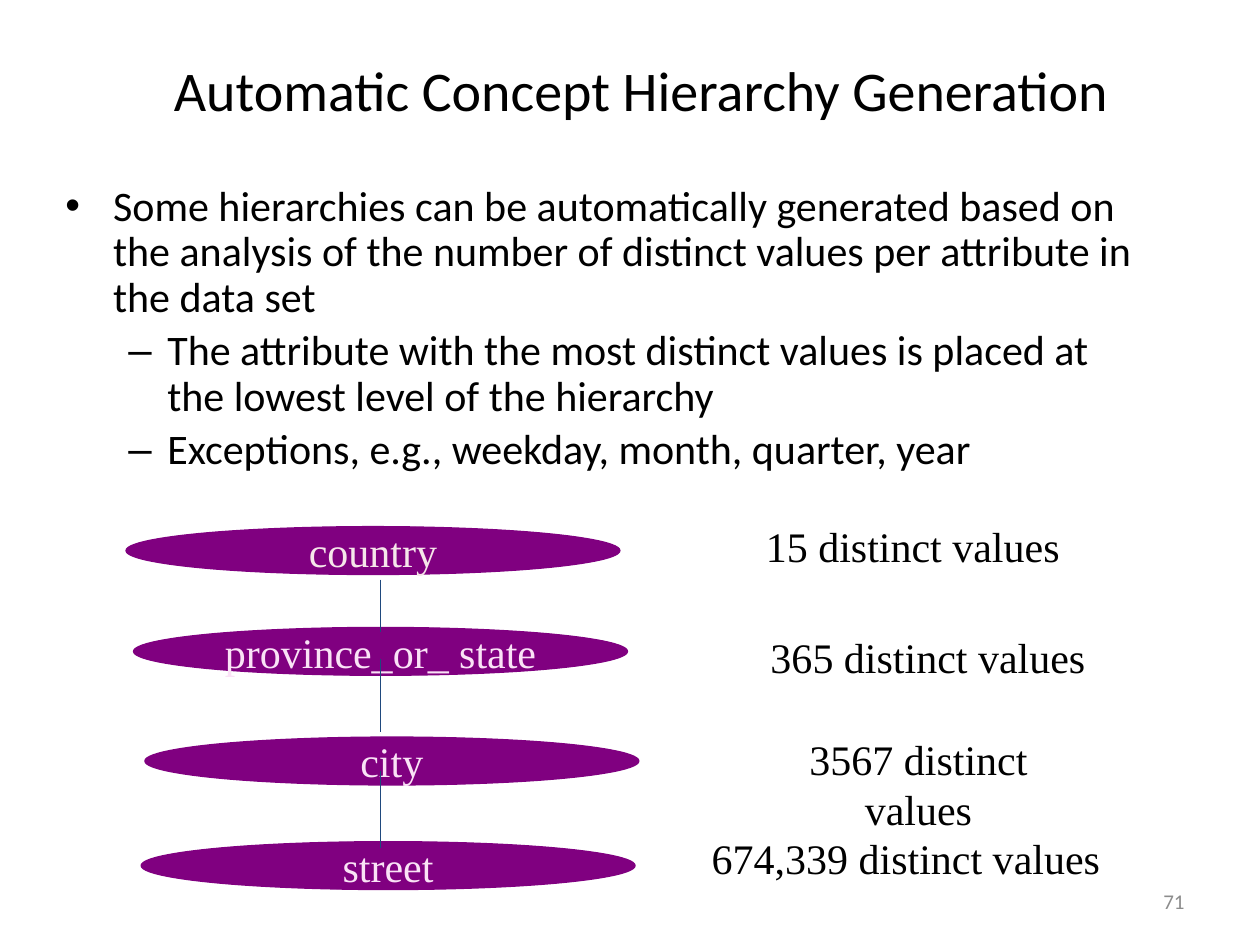
from lxml import etree
from pptx import Presentation
from pptx import util as u
from pptx.dml.color import RGBColor
from pptx.enum import shapes, text
from pptx.oxml.ns import qn

Inches, Pt = u.Inches, u.Pt
COLORS = {"black": "000000", "number": "8C8C8C", "oval": "800080",
          "country": "F6E6EA", "label": "FAE2F6", "line": "1F497D"}
SERIF = "Times New Roman"


def format_text(p, size, font, color, align):
    p.alignment = align
    for r in p.runs:
        r.font.size = Pt(size)
        r.font.name = font
        r.font.color.rgb = RGBColor.from_string(COLORS[color])


def add_text(s, box, content, size, font, align, color="black", wrap=True):
    sp = s.shapes.add_textbox(*[Inches(v) for v in box])
    tf = sp.text_frame
    tf.word_wrap = wrap
    tf.text = content
    for p in tf.paragraphs:
        format_text(p, size, font, color, align)
    return tf


prs = Presentation()
prs.slide_width, prs.slide_height = Inches(10), Inches(7.5)
s = prs.slides.add_slide(prs.slide_layouts[5])

# Title
title = s.shapes.title
title.left, title.top = Inches(0.83), Inches(0.33)
title.width, title.height = Inches(8.52), Inches(0.75)
tf = title.text_frame
tf.text = "Automatic Concept Hierarchy Generation"
tf.vertical_anchor = text.MSO_ANCHOR.MIDDLE
format_text(tf.paragraphs[0], 32, "Calibri", "black", text.PP_ALIGN.CENTER)

# Bulleted text: level, wording
points = [
    (0, "Some hierarchies can be automatically generated based on the analysis "
        "of the number of distinct values per attribute in the data set"),
    (1, "The attribute with the most distinct values is placed at the lowest "
        "level of the hierarchy"),
    (1, "Exceptions, e.g., weekday, month, quarter, year"),
]
bullets = [("•", 0.38, -0.38), ("–", 0.81, -0.31)]  # character, margin, indent
tf = add_text(s, (0.42, 1.42, 8.83, 2.53), "\n".join(t for _, t in points),
              24, "Calibri", text.PP_ALIGN.LEFT)
for p, (level, _) in zip(tf.paragraphs, points):
    char, margin, indent = bullets[level]
    p.level = level
    p.line_spacing = 0.9
    p.space_before = Pt(4.8)
    pPr = p._p.get_or_add_pPr()
    pPr.set("marL", str(Inches(margin)))
    pPr.set("indent", str(Inches(indent)))
    etree.SubElement(pPr, qn("a:buFont")).set("typeface", "Arial")
    etree.SubElement(pPr, qn("a:buChar")).set("char", char)

# Slide number
tf = add_text(s, (7.17, 6.95, 2.33, 0.4), "71", 12, "Calibri",
              text.PP_ALIGN.RIGHT, "number")
tf.vertical_anchor = text.MSO_ANCHOR.MIDDLE

# Hierarchy levels: name, left, top, text colour
levels = [("country", 1, 4.18, "country"),
          ("province_or_ state", 1.06, 4.98, "label"),
          ("city", 1.15, 5.85, "label"),
          ("street", 1.12, 6.68, "label")]
for name, left, top, color in levels:
    sp = s.shapes.add_shape(shapes.MSO_SHAPE.OVAL, Inches(left), Inches(top),
                            Inches(3.92), Inches(0.38))
    sp.shadow.inherit = False
    sp.fill.solid()
    sp.fill.fore_color.rgb = RGBColor.from_string(COLORS["oval"])
    sp.line.color.rgb = RGBColor.from_string(COLORS["oval"])
    sp.line.width = Pt(0.75)
    tf = sp.text_frame
    tf.word_wrap = False
    tf.vertical_anchor = text.MSO_ANCHOR.MIDDLE
    tf.text = name
    format_text(tf.paragraphs[0], 24, SERIF, color, text.PP_ALIGN.CENTER)

# Lines between levels
for top, bottom in [(4.6, 5.02), (5.23, 5.81), (6.12, 6.73)]:
    line = s.shapes.add_connector(shapes.MSO_CONNECTOR.STRAIGHT, Inches(3.02),
                                  Inches(top), Inches(3.02), Inches(bottom))
    line.line.color.rgb = RGBColor.from_string(COLORS["line"])
    line.line.width = Pt(0.75)
    etree.SubElement(line._element.spPr, qn("a:effectLst"))

# Distinct value counts: number, left, top, width, wrap
counts = [("15", 5.98, 4.08, 2.53, False),
          ("365", 6, 4.96, 2.73, True),
          ("3567", 5.86, 5.77, 2.86, False),
          ("674,339", 5.55, 6.56, 3.28, False)]
for count, left, top, width, wrap in counts:
    tf = add_text(s, (left, top, width, 0.5), f"{count} distinct values", 24,
                  SERIF, text.PP_ALIGN.CENTER, wrap=wrap)
    tf.auto_size = text.MSO_AUTO_SIZE.SHAPE_TO_FIT_TEXT

prs.save("out.pptx")
